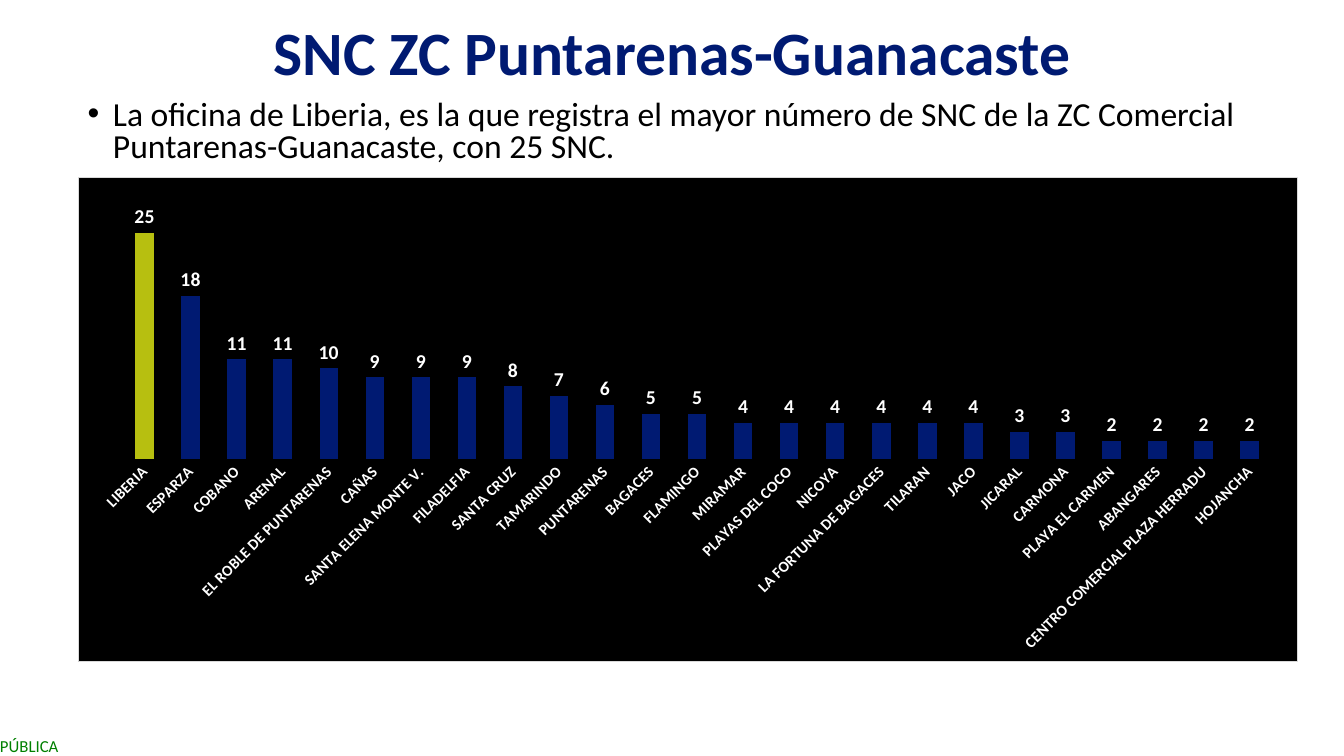
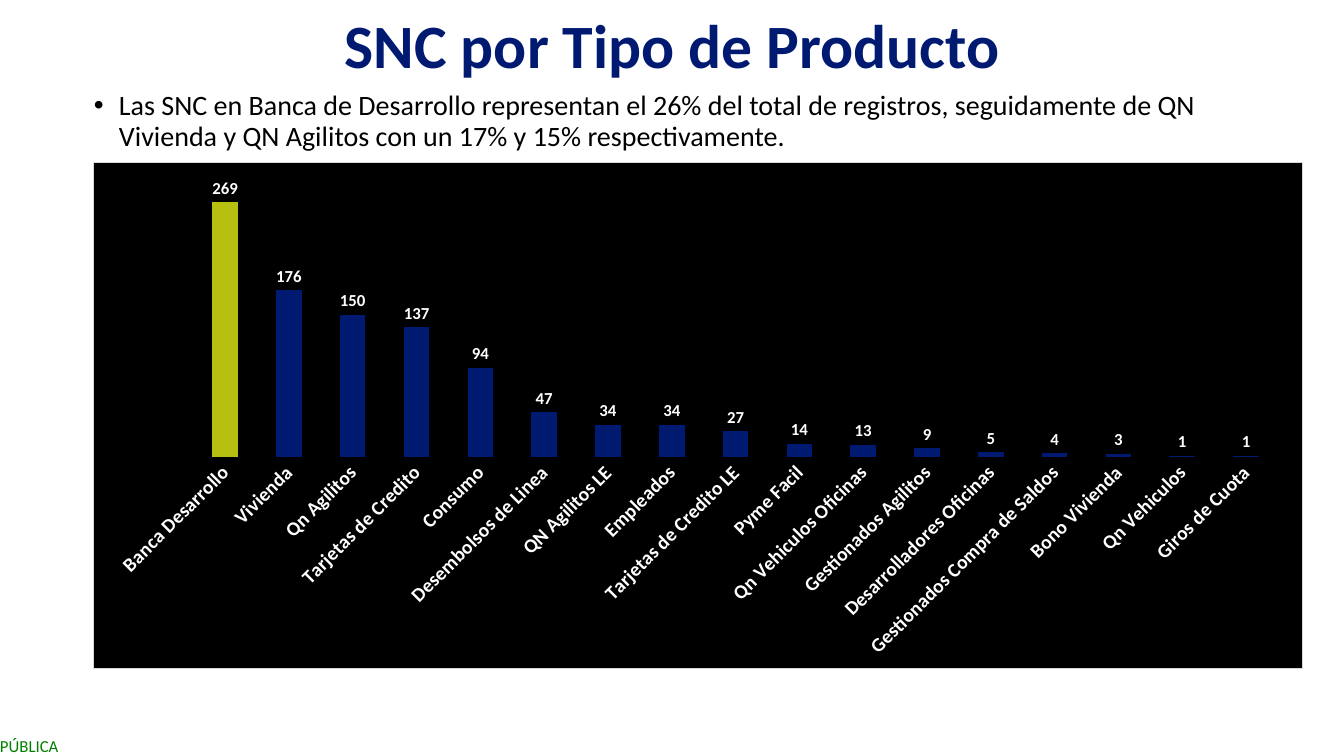
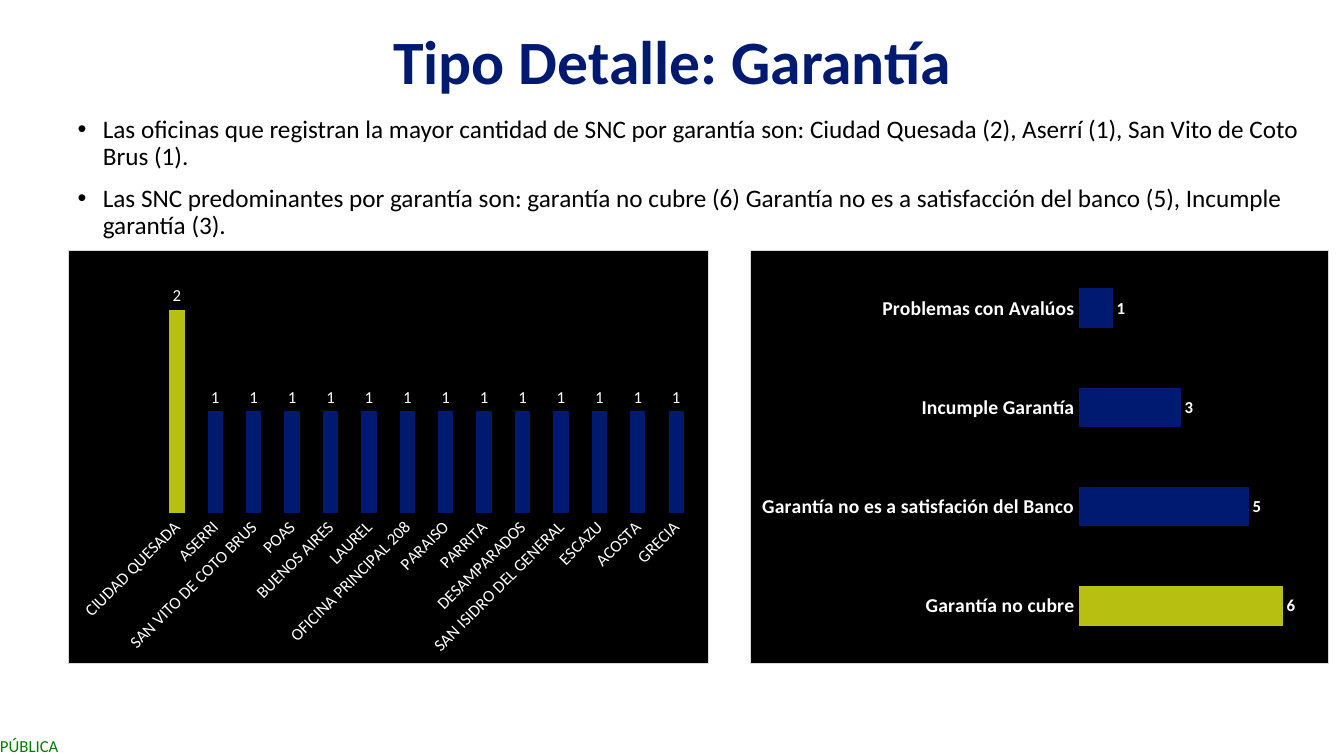
import lxml.etree
import pptx
import pptx.chart.data
import pptx.dml.color
import pptx.enum.chart
import pptx.enum.text
import pptx.oxml
import pptx.oxml.ns
import pptx.util

COLOURS = {"navy": "001A72", "lime": "B7BF10", "black": "000000", "white": "FFFFFF",
           "border": "D9D9D9", "green": "008000"}
FONT = "Calibri"
TITLE_LEFT, TITLE_WIDTH = 0.92, 11.5

OFFICES = {
    "LIBERIA": 25, "ESPARZA": 18, "COBANO": 11, "ARENAL": 11, "EL ROBLE DE PUNTARENAS": 10,
    "CAÑAS": 9, "SANTA ELENA MONTE V.": 9, "FILADELFIA": 9, "SANTA CRUZ": 8, "TAMARINDO": 7,
    "PUNTARENAS": 6, "BAGACES": 5, "FLAMINGO": 5, "MIRAMAR": 4, "PLAYAS DEL COCO": 4,
    "NICOYA": 4, "LA FORTUNA DE BAGACES": 4, "TILARAN": 4, "JACO": 4, "JICARAL": 3,
    "CARMONA": 3, "PLAYA EL CARMEN": 2, "ABANGARES": 2,
    "CENTRO COMERCIAL PLAZA HERRADU": 2, "HOJANCHA": 2}
PRODUCTS = {
    "Banca Desarrollo": 269, "Vivienda": 176, "Qn Agilitos": 150, "Tarjetas de Credito": 137,
    "Consumo": 94, "Desembolsos de Linea": 47, "QN Agilitos LE": 34, "Empleados": 34,
    "Tarjetas de Credito LE": 27, "Pyme Facil": 14, "Qn Vehiculos Oficinas": 13,
    "Gestionados Agilitos": 9, "Desarrolladores Oficinas": 5,
    "Gestionados Compra de Saldos": 4, "Bono Vivienda": 3, "Qn Vehiculos": 1,
    "Giros de Cuota": 1}
GUARANTEE_OFFICES = {"CIUDAD QUESADA": 2} | dict.fromkeys(
    ["ASERRI", "SAN VITO DE COTO BRUS", "POAS", "BUENOS AIRES", "LAUREL",
     "OFICINA PRINCIPAL 208", "PARAISO", "PARRITA", "DESAMPARADOS",
     "SAN ISIDRO DEL GENERAL", "ESCAZU", "ACOSTA", "GRECIA"], 1)
GUARANTEE_DETAILS = {
    "Garantía no cubre": 6, "Garantía no es a satisfación del Banco": 5,
    "Incumple Garantía": 3, "Problemas con Avalúos": 1}

SLIDES = [
    {"title": "SNC ZC Puntarenas-Guanacaste", "title_rows": (0.15, 0.8), "title_spacing": 0.9,
     "bullets": ["La oficina de Liberia, es la que registra el mayor número de SNC de la ZC "
                 "Comercial Puntarenas-Guanacaste, con 25 SNC."],
     "body_at": (0.77, 0.95, 12.1, 0.8), "body_size": 24, "body_spacing": 0.8,
     "charts": [{"data": OFFICES, "at": (0.77, 1.76, 12.1, 4.81), "top": 30,
                 "axis_size": 11, "label_size": 14}]},
    {"title": "SNC por Tipo de Producto", "title_rows": (0.13, 0.74), "title_spacing": 0.8,
     "bullets": ["Las SNC en Banca de Desarrollo representan el 26% del total de registros, "
                 "seguidamente de QN Vivienda y QN Agilitos con un 17% y 15% respectivamente."],
     "body_at": (0.83, 0.86, 12.09, 0.74), "body_size": 20, "body_spacing": 0.9,
     "charts": [{"data": PRODUCTS, "at": (0.92, 1.61, 12, 5.03), "top": 300,
                 "axis_size": 14, "label_size": 12}]},
    {"title": "Tipo Detalle: Garantía", "title_rows": (0.17, 0.94), "title_spacing": 0.9,
     "bullets": ["Las oficinas que registran la mayor cantidad de SNC por garantía son: Ciudad "
                 "Quesada (2), Aserrí (1), San Vito de Coto Brus (1).",
                 "Las SNC predominantes por garantía son: garantía no cubre (6) Garantía no es "
                 "a satisfacción del banco (5), Incumple garantía (3)."],
     "body_at": (0.67, 1.11, 12.39, 1.21), "body_size": 18, "body_spacing": 0.9,
     "charts": [{"data": GUARANTEE_OFFICES, "at": (0.67, 2.48, 6.36, 4.11), "top": 2.5,
                 "axis_size": 12, "label_size": 12, "bold": False},
                {"data": GUARANTEE_DETAILS, "at": (7.44, 2.48, 5.74, 4.11), "top": 7,
                 "axis_size": 14, "label_size": 12, "horizontal": True}]},
]


def rgb(name):
    return pptx.dml.color.RGBColor.from_string(COLOURS[name])


def inches(values):
    return [pptx.util.Inches(value) for value in values]


def style_font(font, size, colour, bold=False):
    font.name, font.size, font.bold = FONT, pptx.util.Pt(size), bold
    font.color.rgb = rgb(colour)


def add_span(para, text, size, colour, bold=False):
    span = para.add_run()
    span.text = text
    style_font(span.font, size, colour, bold)


def prepare_box(box, at):
    """Place a text shape and return its frame, wrapped and without shrinking."""
    box.left, box.top, box.width, box.height = inches(at)
    frame = box.text_frame
    frame.word_wrap = True
    frame.auto_size = pptx.enum.text.MSO_AUTO_SIZE.NONE
    return frame


def fill_title(box, content):
    top, height = content["title_rows"]
    frame = prepare_box(box, (TITLE_LEFT, top, TITLE_WIDTH, height))
    frame.vertical_anchor = pptx.enum.text.MSO_ANCHOR.MIDDLE
    para = frame.paragraphs[0]
    para.alignment = pptx.enum.text.PP_ALIGN.CENTER
    para.line_spacing = content["title_spacing"]
    add_span(para, content["title"], 44, "navy", True)


def fill_bullets(box, content):
    frame = prepare_box(box, content["body_at"])
    for index, text in enumerate(content["bullets"]):
        para = frame.add_paragraph() if index else frame.paragraphs[0]
        properties = para._p.get_or_add_pPr()
        properties.set("marL", str(pptx.util.Inches(0.25)))
        properties.set("indent", str(pptx.util.Inches(-0.25)))
        for tag, key, value in (("a:buFont", "typeface", "Arial"), ("a:buChar", "char", "•")):
            lxml.etree.SubElement(properties, pptx.oxml.ns.qn(tag)).set(key, value)
        para.line_spacing = content["body_spacing"]
        para.space_before = pptx.util.Pt(10 if index else 0)
        add_span(para, text, content["body_size"], "black")


def paint_chart_area(chart):
    """Give the whole chart its black ground and thin grey outline."""
    area = pptx.oxml.parse_xml(
        f'<c:spPr {pptx.oxml.ns.nsdecls("c", "a")}>'
        f'<a:solidFill><a:srgbClr val="{COLOURS["black"]}"/></a:solidFill>'
        f'<a:ln w="{pptx.util.Pt(0.75)}"><a:solidFill><a:srgbClr val="{COLOURS["border"]}"/>'
        '</a:solidFill></a:ln></c:spPr>')
    chart.element.find(pptx.oxml.ns.qn("c:txPr")).addprevious(area)


def add_bar_chart(page, data, at, top, axis_size, label_size, bold=True, horizontal=False):
    """Draw one series of bars, the first bar highlighted."""
    kinds = pptx.enum.chart.XL_CHART_TYPE
    chart_data = pptx.chart.data.CategoryChartData()
    chart_data.categories = list(data)
    chart_data.add_series("Series 1", list(data.values()))
    chart = page.shapes.add_chart(kinds.BAR_CLUSTERED if horizontal else kinds.COLUMN_CLUSTERED,
                                  *inches(at), chart_data).chart
    style_font(chart.font, 10, "black")
    paint_chart_area(chart)
    chart.has_legend = chart.has_title = False

    values = chart.value_axis
    values.visible = values.has_major_gridlines = False
    values.minimum_scale, values.maximum_scale = 0, top
    names = chart.category_axis
    names.major_tick_mark = names.minor_tick_mark = pptx.enum.chart.XL_TICK_MARK.NONE
    names.format.line.fill.background()
    style_font(names.tick_labels.font, axis_size, "white", bold)
    if not horizontal:
        chart.element.xpath(".//c:catAx/c:txPr/a:bodyPr")[0].set("rot", str(-45 * 60000))

    plot = chart.plots[0]
    plot.gap_width = 150
    plot.vary_by_categories = False
    plot.has_data_labels = True
    labels = plot.data_labels
    labels.show_value = True
    labels.position = pptx.enum.chart.XL_LABEL_POSITION.OUTSIDE_END
    style_font(labels.font, label_size, "white", bold)
    series = plot.series[0]
    series.invert_if_negative = False
    for part, colour in ((series, "navy"), (series.points[0], "lime")):
        part.format.fill.solid()
        part.format.fill.fore_color.rgb = rgb(colour)


def add_master_footer(deck, page):
    """Write the classification mark once, on the master."""
    box = page.shapes.add_textbox(*inches((0, 7.3, 0.83, 0.2)))
    frame = box.text_frame
    frame.margin_left = frame.margin_top = frame.margin_right = frame.margin_bottom = 0
    add_span(frame.paragraphs[0], "PÚBLICA", 12, "green")
    box.element.nvSpPr.cNvPr.set("id", "99")
    deck.slide_master.shapes.element.append(box.element)


def main():
    deck = pptx.Presentation()
    deck.slide_width, deck.slide_height = inches((13.33, 7.5))
    for content in SLIDES:
        page = deck.slides.add_slide(deck.slide_layouts[1])
        fill_title(page.shapes.title, content)
        fill_bullets(page.placeholders[1], content)
        for chart in content["charts"]:
            add_bar_chart(page, **chart)
    add_master_footer(deck, deck.slides[0])
    deck.save("out.pptx")


if __name__ == "__main__":
    main()
